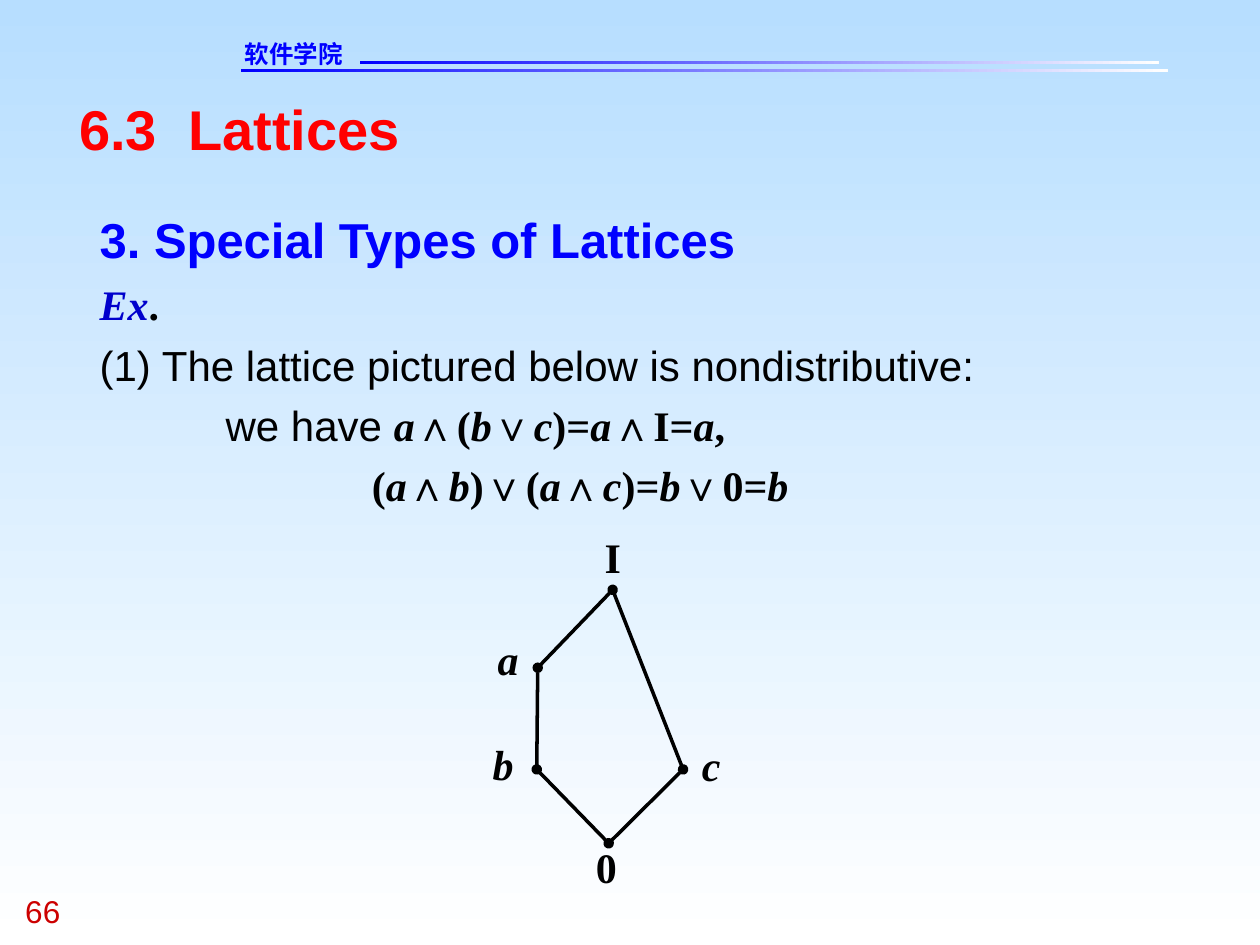
from itertools import groupby

from lxml.etree import SubElement
from pptx import Presentation
from pptx.dml.color import RGBColor
from pptx.enum.shapes import MSO_CONNECTOR, MSO_SHAPE
from pptx.enum.text import PP_ALIGN
from pptx.oxml.ns import qn
from pptx.util import Cm, Pt

COLORS = {
    "sky": "B7DEFF", "white": "FFFFFF", "blue": "0000FF", "red": "FF0000",
    "example": "0000CC", "number": "CC0000", "black": "000000",
}
SANS, SERIF = "Arial", "Times New Roman"
MATH = {"name": SERIF, "size": Pt(24), "bold": True}
PLAIN = {"name": SANS, "size": Pt(24), "bold": False}


def add_run(paragraph, text, color, **font_format):
    run = paragraph.add_run()
    run.text = text
    run.font.color.rgb = RGBColor.from_string(COLORS[color])
    for attribute, value in font_format.items():
        setattr(run.font, attribute, value)


def add_frame(shapes, left, top, width, height, wrap=True):
    """Add a text box without margins, placed in cm, and return its text frame."""
    frame = shapes.add_textbox(Cm(left), Cm(top), Cm(width), Cm(height)).text_frame
    frame.word_wrap = wrap
    for side in ("left", "top", "right", "bottom"):
        setattr(frame, f"margin_{side}", 0)
    return frame


prs = Presentation()
prs.slide_width, prs.slide_height = Cm(25.4), Cm(19.05)
slide = prs.slides.add_slide(prs.slide_layouts[6])

# Background and header rules: two-colour gradients
gradients = [(slide.background.fill, 270, ("sky", "white"))]
for left, top, width in [(4.85, 1.4, 18.69), (7.26, 1.24, 16.1)]:
    rule = slide.shapes.add_shape(
        MSO_SHAPE.RECTANGLE, Cm(left), Cm(top), Cm(width), Cm(0.06))
    rule.shadow.inherit = False
    rule.line.fill.background()
    gradients.append((rule.fill, 0, ("blue", "white")))
for fill, angle, ends in gradients:
    fill.gradient()
    fill.gradient_angle = angle
    for stop, position, color in zip(fill.gradient_stops, (0, 1), ends):
        stop.position = position
        stop.color.rgb = RGBColor.from_string(COLORS[color])

# Header, title and slide number
for text, box, color, font_format in [
    ("软件学院", (4.93, 0.79, 3.68, 0.58), "blue",
     {"name": "DejaVu Sans", "size": Pt(14), "bold": True}),
    ("6.3  Lattices", (1.6, 1.9, 22.22, 1.35), "red",
     {"name": SANS, "size": Pt(32), "bold": True}),
    ("66", (0.51, 17.98, 1.9, 0.76), "number", {"name": SANS, "size": Pt(18)}),
]:
    add_run(add_frame(slide.shapes, *box).paragraphs[0], text, color, **font_format)

# Body: indent in cm, leading runs, formula
body = add_frame(slide.shapes, 2.01, 3.99, 22.05, 6.3)
body_lines = [
    (0, [("3. Special Types of Lattices", "blue", {**MATH, "name": SANS, "size": Pt(28)})], ""),
    (0, [("Ex", "example", {**MATH, "italic": True}), (".", "black", MATH)], ""),
    (0, [("(1) The lattice pictured below is nondistributive:", "black", PLAIN)], ""),
    (2.54, [("we have ", "black", PLAIN)], "a∧(b∨c)=a∧I=a,"),
    (5.49, [], "(a∧b)∨(a∧c)=b∨0=b"),
]
for index, (indent, lead_runs, formula) in enumerate(body_lines):
    paragraph = body.add_paragraph() if index else body.paragraphs[0]
    paragraph.line_spacing = 1.2
    properties = paragraph._p.get_or_add_pPr()
    properties.set("marL", str(Cm(indent)))
    properties.set("indent", "0")
    for text, color, font_format in lead_runs:
        add_run(paragraph, text, color, **font_format)
    # Variables are italic, lattice operators are sans
    for (is_variable, is_operator), symbols in groupby(
            formula, key=lambda symbol: (symbol.islower(), symbol in "∧∨")):
        font_format = {**MATH, "name": SANS if is_operator else SERIF, "italic": is_variable}
        add_run(paragraph, "".join(symbols), "black", **font_format)

# Hasse diagram: node point, then left, top and width of its label
diagram = slide.shapes.add_group_shape().shapes
nodes = {
    "0": ((12.27, 17.0), (12.01, 16.97, 0.43)),
    "c": ((13.77, 15.51), (14.15, 14.91, 0.38)),
    "b": ((10.82, 15.51), (9.93, 14.88, 0.43)),
    "a": ((10.84, 13.46), (10.03, 12.78, 0.43)),
    "I": ((12.35, 11.89), (12.19, 10.72, 0.33)),
}
edges = [
    ("0", "c", ("headEnd", "tailEnd")), ("0", "b", ("tailEnd",)),
    ("b", "a", ("tailEnd",)), ("a", "I", ("tailEnd",)), ("c", "I", ()),
]
for start, finish, dots in edges:
    points = [Cm(value) for node in (start, finish) for value in nodes[node][0]]
    edge = diagram.add_connector(MSO_CONNECTOR.STRAIGHT, *points)
    edge.line.width = Pt(2)
    edge.line.color.rgb = RGBColor.from_string(COLORS["black"])
    for dot in dots:
        SubElement(edge.line._get_or_add_ln(), qn(f"a:{dot}"), type="oval")
    SubElement(edge._element.spPr, qn("a:effectLst"))

for label, (_, (left, top, width)) in nodes.items():
    paragraph = add_frame(diagram, left, top, width, 1.02, wrap=False).paragraphs[0]
    paragraph.alignment = PP_ALIGN.CENTER
    add_run(paragraph, label, "black", italic=label.islower(), **MATH)

prs.save("out.pptx")
